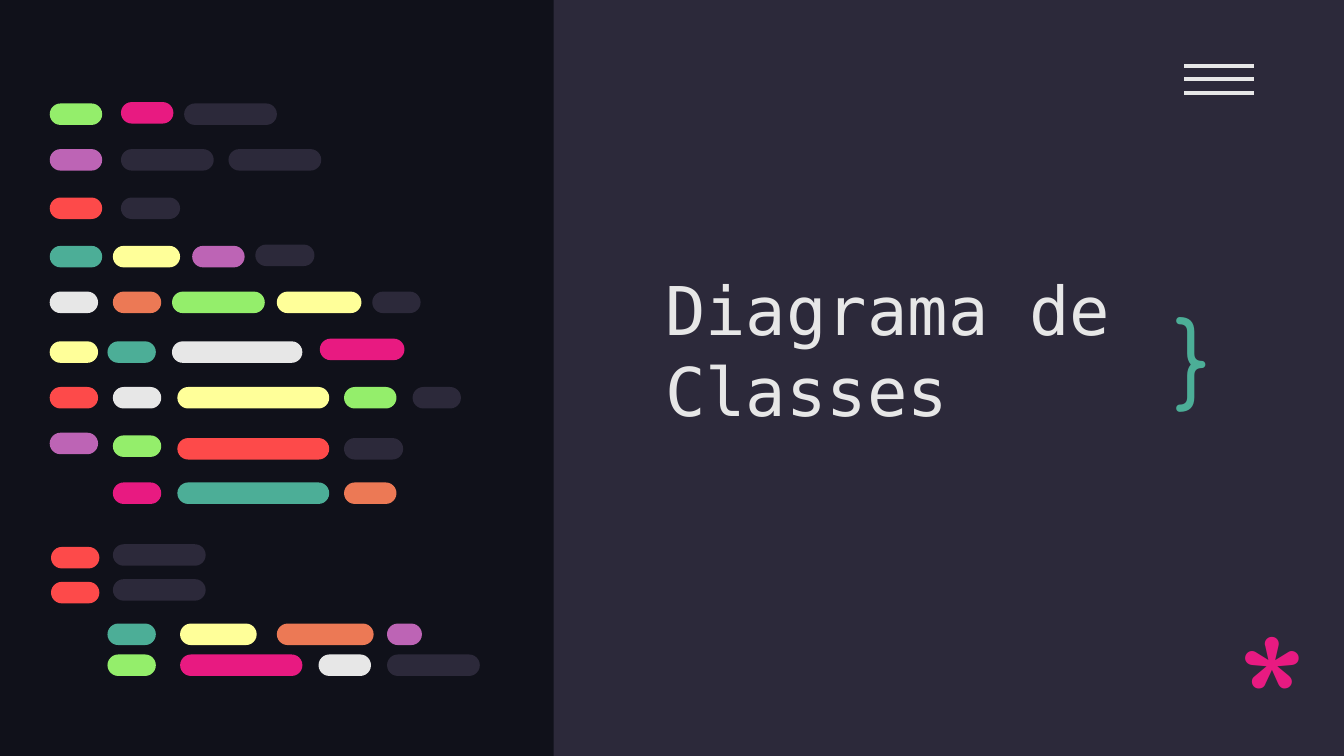
from typing import NamedTuple

from pptx import Presentation
from pptx.dml.color import RGBColor as RGB
from pptx.enum.shapes import MSO_CONNECTOR as Line, MSO_SHAPE as Shape
from pptx.enum.text import MSO_ANCHOR as Anchor
from pptx.oxml.ns import qn
from pptx.slide import Slide
from pptx.util import Inches, Pt
from lxml.etree import SubElement

NIGHT = RGB(0x10, 0x11, 0x1A)
SLATE = RGB(0x2C, 0x29, 0x3A)
WHITE = RGB(0xE7, 0xE7, 0xE7)
GREEN = RGB(0x94, 0xEE, 0x6B)
PINK = RGB(0xE8, 0x1A, 0x81)
MAUVE = RGB(0xBD, 0x64, 0xB5)
RED = RGB(0xFD, 0x4A, 0x4A)
TEAL = RGB(0x4C, 0xAE, 0x97)
LEMON = RGB(0xFF, 0xFF, 0x99)
CORAL = RGB(0xEC, 0x79, 0x55)

COLS = 1000
ROWS = COLS * 9 / 16
CELL = Inches(10) // COLS
THICK = 16


class Box(NamedTuple):
    left: float
    top: float
    width: float
    height: float


class Pill(NamedTuple):
    left: int
    width: int
    color: RGB
    shift: int = 0


class Row(NamedTuple):
    top: int
    pills: list[Pill]


class Label(NamedTuple):
    text: str
    box: Box
    font: str
    size: int
    color: RGB
    anchor: Anchor = Anchor.TOP


CODE = [
    Row(77, [Pill(37, 39, GREEN), Pill(90, 39, PINK, -1), Pill(137, 69, SLATE)]),
    Row(111, [Pill(37, 39, MAUVE), Pill(90, 69, SLATE), Pill(170, 69, SLATE)]),
    Row(147, [Pill(37, 39, RED), Pill(90, 44, SLATE)]),
    Row(183, [Pill(37, 39, TEAL), Pill(84, 50, LEMON), Pill(143, 39, MAUVE),
              Pill(190, 44, SLATE, -1)]),
    Row(217, [Pill(37, 36, WHITE), Pill(84, 36, CORAL), Pill(128, 69, GREEN),
              Pill(206, 63, LEMON), Pill(277, 36, SLATE)]),
    Row(254, [Pill(37, 36, LEMON), Pill(80, 36, TEAL), Pill(128, 97, WHITE),
              Pill(238, 63, PINK, -2)]),
    Row(288, [Pill(37, 36, RED), Pill(84, 36, WHITE), Pill(132, 113, LEMON),
              Pill(256, 39, GREEN), Pill(307, 36, SLATE)]),
    Row(326, [Pill(37, 36, MAUVE, -4), Pill(84, 36, GREEN, -2), Pill(132, 113, RED),
              Pill(256, 44, SLATE)]),
    Row(359, [Pill(84, 36, PINK), Pill(132, 113, TEAL), Pill(256, 39, CORAL)]),
    Row(407, [Pill(38, 36, RED), Pill(84, 69, SLATE, -2)]),
    Row(433, [Pill(38, 36, RED), Pill(84, 69, SLATE, -2)]),
    Row(464, [Pill(80, 36, TEAL), Pill(134, 57, LEMON), Pill(206, 72, CORAL),
              Pill(288, 26, MAUVE)]),
    Row(487, [Pill(80, 36, GREEN), Pill(134, 91, PINK), Pill(237, 39, WHITE),
              Pill(288, 69, SLATE)]),
]

LABELS = [
    Label("Diagrama de Classes", Box(485, 115, 460, 215), "DejaVu Sans Mono", 36,
          WHITE, Anchor.BOTTOM),
    Label("*", Box(911, 435, 57, 87), "Comfortaa", 96, PINK),
    Label("}", Box(865, 211, 57, 95), "Comfortaa", 50, TEAL),
]


def scale(*cells: float) -> list[int]:
    """Turn grid cells into slide lengths."""
    return [int(n * CELL) for n in cells]


def block(slide: Slide, kind: Shape, box: Box, color: RGB) -> None:
    """Draw a flat filled shape, fully rounded when it has a corner radius."""
    shape = slide.shapes.add_shape(kind, *scale(*box))
    shape.shadow.inherit = False
    shape.fill.solid()
    shape.fill.fore_color.rgb = color
    shape.line.fill.background()
    if kind == Shape.ROUNDED_RECTANGLE:
        shape.adjustments[0] = 0.5


def stroke(slide: Slide, left: int, right: int, row: int) -> None:
    """Draw one horizontal bar of the menu icon."""
    ends = scale(left, row, right, row)
    line = slide.shapes.add_connector(Line.STRAIGHT, *ends)
    line.line.color.rgb = WHITE
    line.line.width = Pt(2.25)
    SubElement(line._element.spPr, qn("a:effectLst"))


def write(slide: Slide, label: Label) -> None:
    """Place a text label in its box."""
    frame = slide.shapes.add_textbox(*scale(*label.box)).text_frame
    frame.word_wrap = True
    frame.vertical_anchor = label.anchor
    frame.margin_left = frame.margin_right = Inches(0.1)
    frame.margin_top = frame.margin_bottom = Inches(0.1)
    para = frame.paragraphs[0]
    para.text = label.text
    para.font.name = label.font
    para.font.size = Pt(label.size)
    para.font.color.rgb = label.color


def main() -> None:
    """Build the title slide and save it."""
    deck = Presentation()
    deck.slide_width, deck.slide_height = scale(COLS, ROWS)
    slide = deck.slides.add_slide(deck.slide_layouts[6])
    slide.background.fill.solid()
    slide.background.fill.fore_color.rgb = NIGHT
    block(slide, Shape.RECTANGLE, Box(412, 0, COLS - 412, ROWS), SLATE)
    for row in range(49, 70, 10):
        stroke(slide, 881, 933, row)
    for row in CODE:
        for pill in row.pills:
            box = Box(pill.left, row.top + pill.shift, pill.width, THICK)
            block(slide, Shape.ROUNDED_RECTANGLE, box, pill.color)
    for label in LABELS:
        write(slide, label)
    deck.save("out.pptx")


if __name__ == "__main__":
    main()
